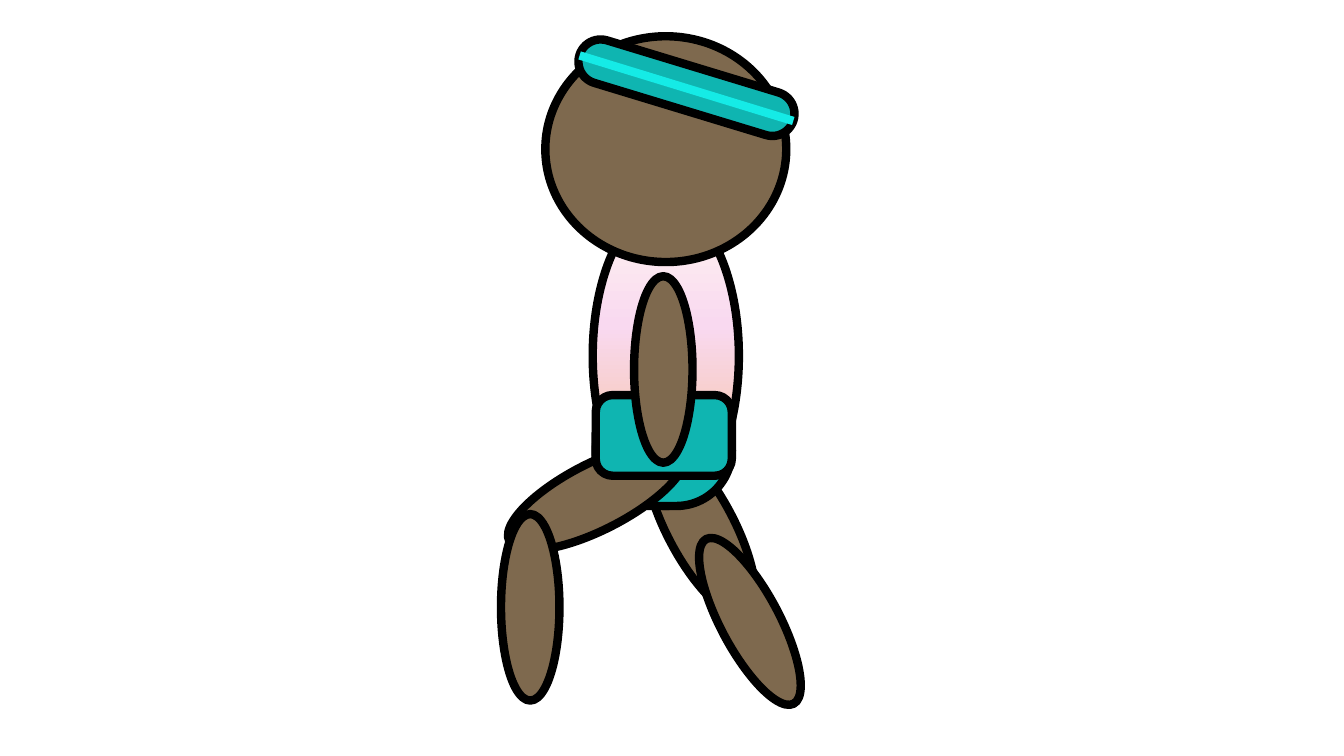
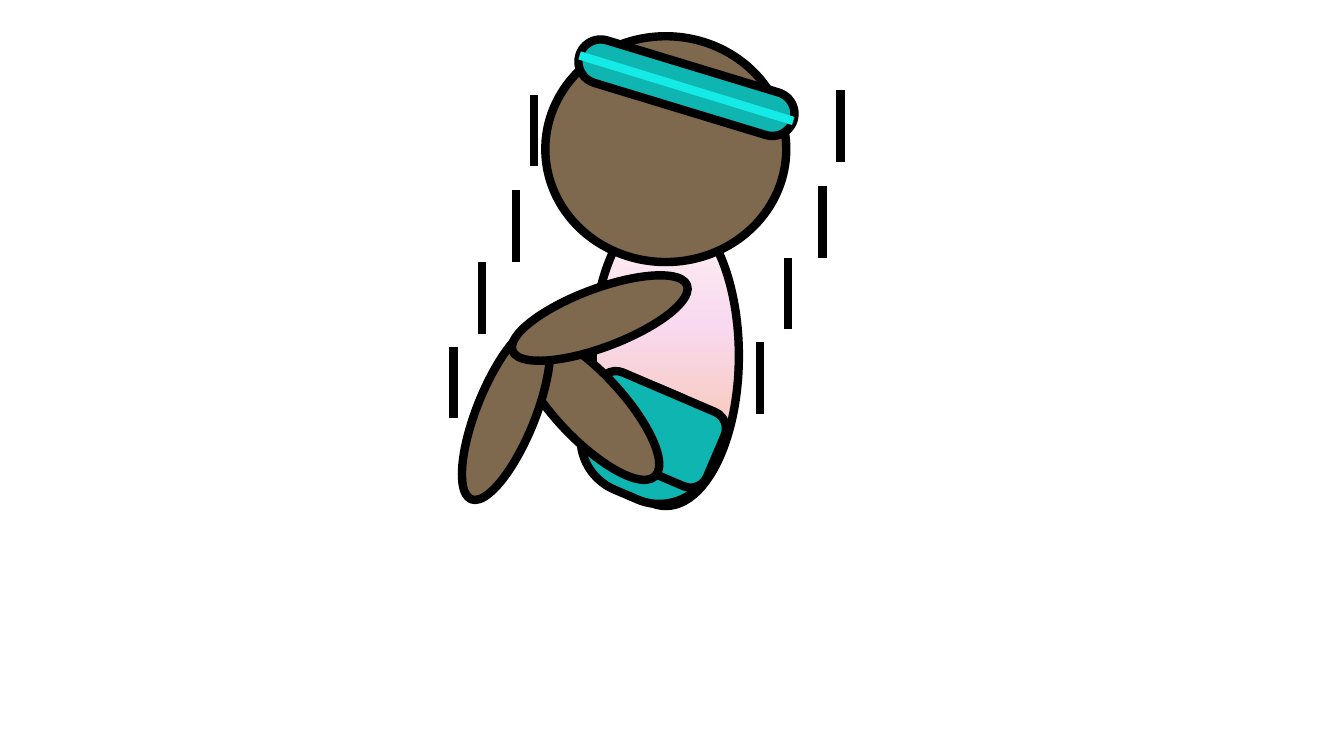
import pptx
import pptx.dml.color
import pptx.enum.shapes
import pptx.oxml
import pptx.oxml.ns
import pptx.util
from dataclasses import dataclass
from lxml import etree

SHAPES = pptx.enum.shapes.MSO_SHAPE
DRAWING = pptx.oxml.ns.nsdecls("a")


@dataclass(frozen=True)
class Theme:
    skin: str = "7E694E"
    outline: str = "000000"
    cloth: str = "0FB5B1"
    stripe: str = "15EBE6"
    shirt: tuple = ((0, "FEF5F0"), (40, "F9D9F0"), (83, "F6C6AD"), (100, "F6C6AD"))
    stroke: int = 6  # points


# Grid of square cells, ten to the inch
COLUMNS, ROWS = 133.33, 75

# Body sizes in cells: columns, rows
THIGH = (6.6, 19.5)
SHIN = ARM = (5.8, 18.5)
SEAT, BELT = (13.5, 11), (13.5, 8)


def cells(count):
    return pptx.util.Inches(count / 10)


def colour(code):
    return pptx.dml.color.RGBColor.from_string(code)


class FigureDeck:
    def __init__(self, theme):
        self.theme = theme
        self.deck = pptx.Presentation()
        self.deck.slide_width = cells(COLUMNS)
        self.deck.slide_height = cells(ROWS)
        self.page = self.canvas = None

    def new_page(self):
        self.page = self.deck.slides.add_slide(self.deck.slide_layouts[6])
        self.canvas = self.page.shapes

    def start_group(self):
        self.canvas = self.page.shapes.add_group_shape().shapes

    def end_group(self):
        self.canvas = self.page.shapes

    def outlined_shape(self, kind, size, centre, fill, angle=0, corner=None):
        """Outlined shape placed by its centre and turned by an angle."""
        width, height = size
        shape = self.canvas.add_shape(
            kind, cells(centre[0] - width / 2), cells(centre[1] - height / 2),
            cells(width), cells(height))
        shape.rotation = angle
        shape.shadow.inherit = False
        if corner is not None:
            shape.adjustments[0] = corner
        shape.fill.solid()
        shape.fill.fore_color.rgb = colour(fill)
        self.stroke(shape.line, self.theme.outline)
        return shape

    def stroke(self, line, code):
        line.color.rgb = colour(code)
        line.width = pptx.util.Pt(self.theme.stroke)

    def line(self, start, end, code):
        connector = self.canvas.add_connector(
            pptx.enum.shapes.MSO_CONNECTOR.STRAIGHT,
            *(cells(value) for value in start + end))
        self.stroke(connector.line, code)
        etree.SubElement(connector._element.spPr, pptx.oxml.ns.qn("a:effectLst"))

    def limb(self, size, centre, angle=0):
        self.outlined_shape(SHAPES.OVAL, size, centre, self.theme.skin, angle)

    def cloth(self, size, centre, angle=0, corner=0.5):
        self.outlined_shape(SHAPES.ROUNDED_RECTANGLE, size, centre,
                            self.theme.cloth, angle, corner)

    def torso(self):
        shape = self.outlined_shape(SHAPES.OVAL, (14.5, 29.8), (66.05, 35.3),
                                    self.theme.skin)
        shape.fill.gradient()
        shape.fill.gradient_angle = 270  # counted anticlockwise: top to bottom
        stops = shape._element.spPr.find(".//" + pptx.oxml.ns.qn("a:gsLst"))
        for stop in list(stops):
            stops.remove(stop)
        for percent, code in self.theme.shirt:
            stops.append(pptx.oxml.parse_xml(
                f'<a:gs {DRAWING} pos="{percent * 1000}"><a:srgbClr val="{code}"/></a:gs>'))

    def head(self):
        self.limb((23.9, 22.4), (66.05, 14.8))
        self.cloth((22.2, 4.4), (68.1, 8.7), 16.9)
        self.line((57.5, 5.5), (78.7, 12), self.theme.stripe)

    def motion_lines(self):
        for column, row in ((45, 34.4), (47.8, 26), (51.2, 18.9), (53, 9.4)):
            for across, up in ((0, 0), (30.4, 0.45)):
                top = row - up
                self.line((column + across, top + 7.1), (column + across, top),
                          self.theme.outline)


def walking(figure):
    figure.new_page()
    # Back leg
    figure.start_group()
    figure.limb(THIGH, (69.5, 52.35), 332)
    figure.limb(SHIN, (74.4, 61.65), 332)
    figure.end_group()
    # Body, with the front thigh between seat and belt
    figure.torso()
    figure.cloth(SEAT, (65.85, 44.7))
    figure.limb(THIGH, (59.2, 49.25), 62.9)
    figure.cloth(BELT, (65.85, 43.2), corner=0.21)
    figure.limb(SHIN, (52.6, 60.25))
    # Head and arm
    figure.head()
    figure.limb(ARM, (65.8, 36.65))


def jumping(figure):
    figure.new_page()
    figure.torso()
    figure.head()
    # Tilted shorts
    figure.start_group()
    figure.cloth(SEAT, (64.25, 44), 23.2)
    figure.cloth(BELT, (64.8, 42.6), 23.2, 0.22)
    figure.end_group()
    # Tucked leg and arm
    figure.limb(THIGH, (58.3, 40.15), 136.8)
    figure.limb(SHIN, (50.2, 40.95), 21.9)
    figure.limb(ARM, (59.5, 31.55), 69.4)
    figure.motion_lines()


def main():
    figure = FigureDeck(Theme())
    walking(figure)
    jumping(figure)
    figure.deck.save("out.pptx")


if __name__ == "__main__":
    main()
